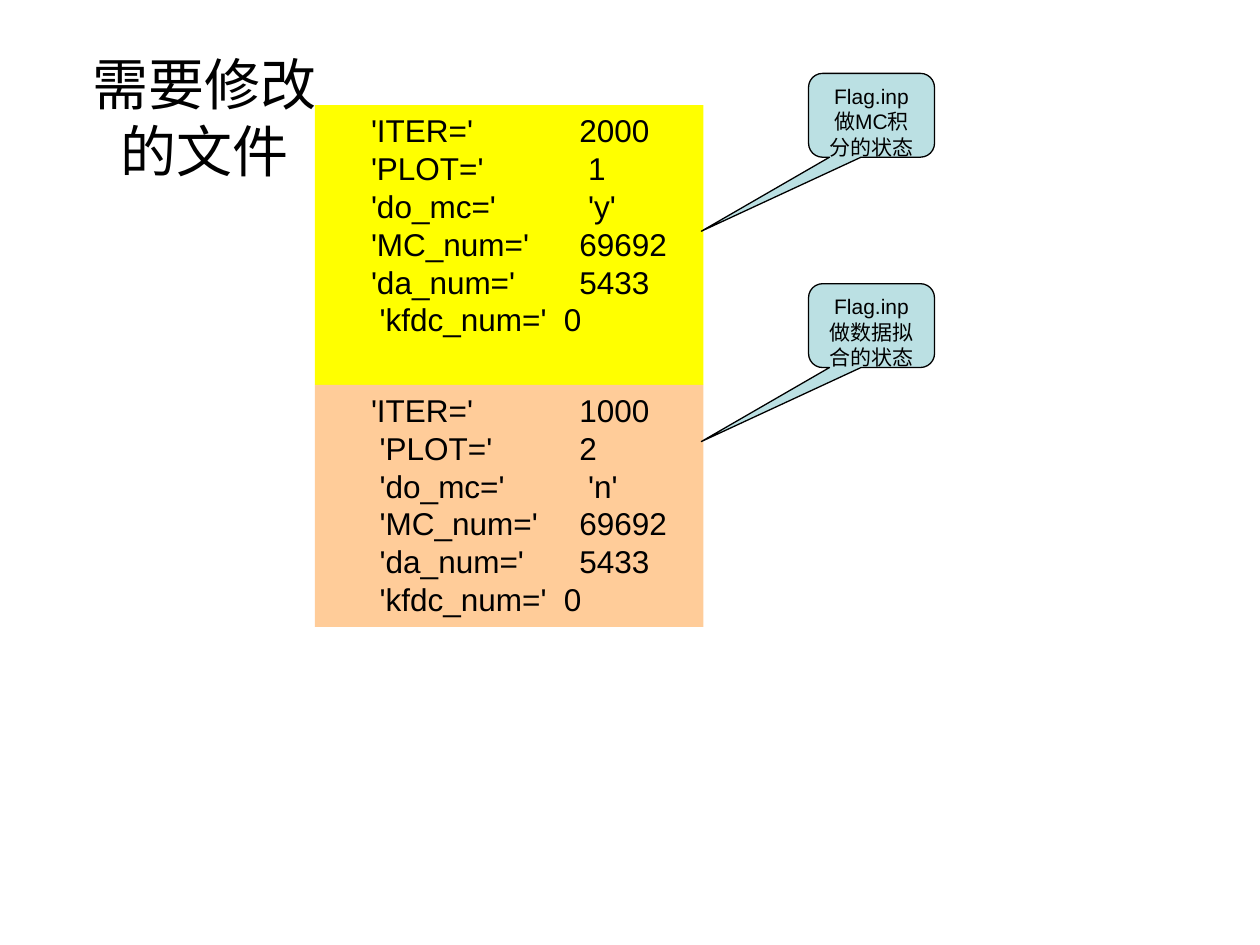
from dataclasses import dataclass

from lxml import etree
from pptx import Presentation
from pptx.dml.color import RGBColor
from pptx.enum.shapes import MSO_SHAPE
from pptx.enum.text import MSO_ANCHOR, MSO_AUTO_SIZE, PP_ALIGN
from pptx.oxml.ns import qn
from pptx.util import Cm, Pt

RECT = MSO_SHAPE.RECTANGLE
BUBBLE = MSO_SHAPE.ROUNDED_RECTANGULAR_CALLOUT
TOP, MIDDLE = MSO_ANCHOR.TOP, MSO_ANCHOR.MIDDLE
LEFT, CENTER = PP_ALIGN.LEFT, PP_ALIGN.CENTER
FIXED = MSO_AUTO_SIZE.NONE

FONT = "Arial"
COLORS = {"ink": "000000", "mc": "FFFF00", "fit": "FFCC99", "note": "BBE0E3"}
TAB = 4.2        # value column, from the text edge
NEAR = 3.89      # value column of the last row
TAIL = (-1.351, 1.383, 0.167)


@dataclass
class Panel:
    top: float
    height: float
    fill: str
    rows: list[str]


@dataclass
class Note:
    top: float
    text: str


PANELS = [
    Panel(2.12, 5.64, "mc", [
        "'ITER='\t2000", "'PLOT='\t 1", "'do_mc='\t 'y'",
        "'MC_num='\t69692", "'da_num='\t5433", " 'kfdc_num='\t0"]),
    Panel(7.76, 4.88, "fit", [
        "'ITER='\t1000", " 'PLOT='\t2", " 'do_mc='\t 'n'",
        " 'MC_num='\t69692", " 'da_num='\t5433", " 'kfdc_num='\t0"]),
]
NOTES = [
    Note(1.48, "Flag.inp\n做MC积分的状态"),
    Note(5.72, "Flag.inp\n做数据拟合的状态"),
]


def color(name: str) -> RGBColor:
    return RGBColor.from_string(COLORS[name])


def style(frame, size: int, align, anchor) -> None:
    frame.word_wrap = True
    frame.auto_size = FIXED
    frame.vertical_anchor = anchor
    for para in frame.paragraphs:
        para.alignment = align
        for run in para.runs:
            run.font.name = FONT
            run.font.size = Pt(size)
            run.font.color.rgb = color("ink")


def set_tab(para, pos: float) -> None:
    stops = etree.SubElement(para._p.get_or_add_pPr(), qn("a:tabLst"))
    etree.SubElement(stops, qn("a:tab"), pos=str(Cm(pos)), algn="l")


def add_box(slide, kind, box: tuple, fill: str, text: str):
    shape = slide.shapes.add_shape(kind, *map(Cm, box))
    shape.shadow.inherit = False
    shape.fill.solid()
    shape.fill.fore_color.rgb = color(fill)
    shape.text_frame.text = text
    return shape


def add_panel(slide, item: Panel) -> None:
    box = (6.35, item.top, 7.83, item.height)
    shape = add_box(slide, RECT, box, item.fill, "\n".join(item.rows))
    shape.line.fill.background()
    frame = shape.text_frame
    frame.margin_left = Cm(1.13)
    style(frame, 18, LEFT, TOP)
    *rows, last = frame.paragraphs
    for para in rows:
        set_tab(para, TAB)
    set_tab(last, NEAR)


def add_note(slide, item: Note) -> None:
    shape = add_box(slide, BUBBLE, (16.3, item.top, 2.54, 1.69), "note", item.text)
    shape.line.color.rgb = color("ink")
    shape.line.width = Pt(0.75)
    for i, value in enumerate(TAIL):
        shape.adjustments[i] = value
    style(shape.text_frame, 12, CENTER, TOP)


deck = Presentation()
deck.slide_width, deck.slide_height = Cm(25.4), Cm(19.05)
slide = deck.slides.add_slide(deck.slide_layouts[5])

# Title
title = slide.shapes.title
title.left, title.top, title.width, title.height = map(Cm, (1.27, 0.76, 5.72, 3.18))
title.text_frame.text = "需要修改的文件"
style(title.text_frame, 32, CENTER, MIDDLE)

# Settings for each run mode
for panel in PANELS:
    add_panel(slide, panel)

# Callouts naming the modes
for note in NOTES:
    add_note(slide, note)

deck.save("out.pptx")
